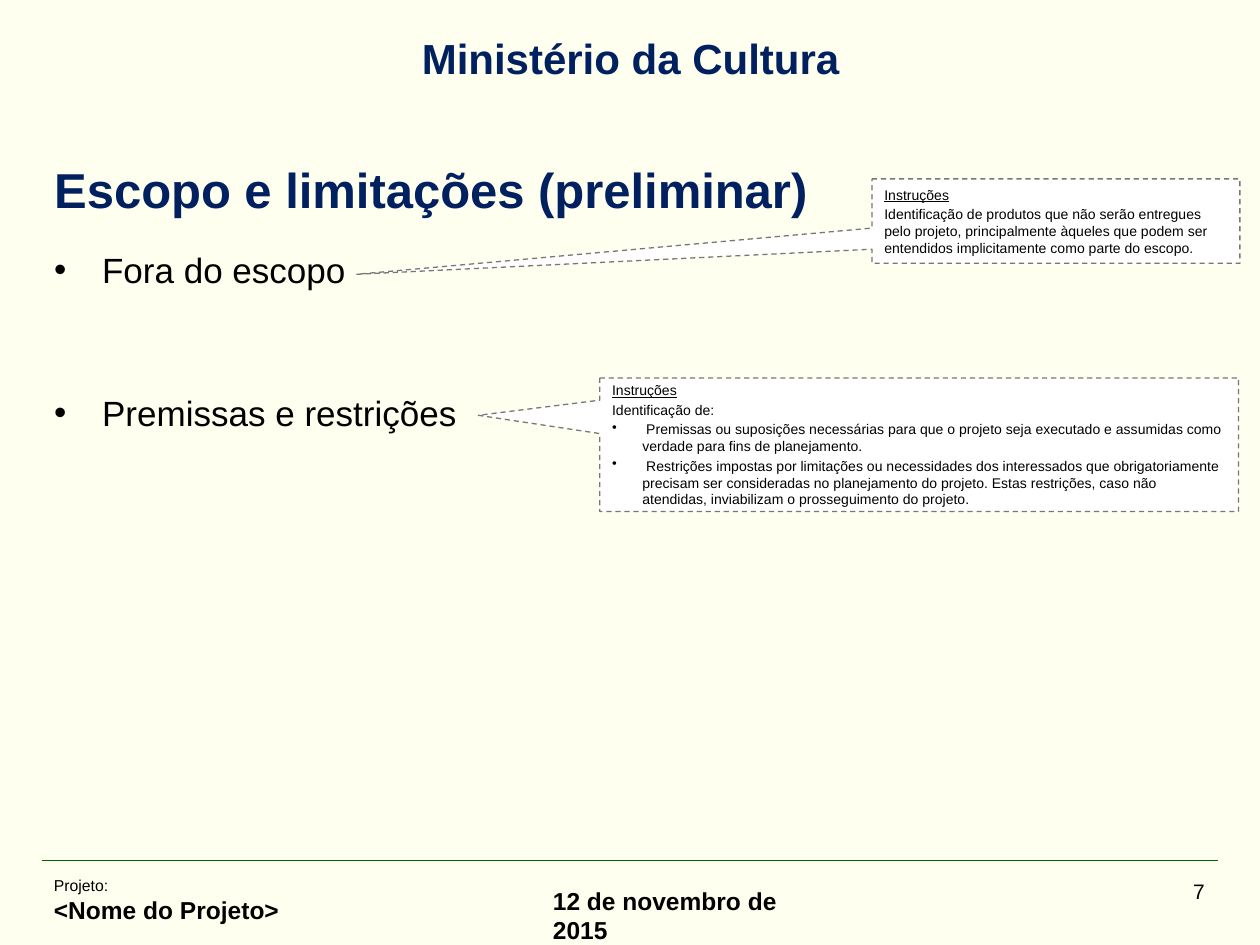
from lxml.etree import SubElement
from pptx import Presentation
from pptx.dml.color import RGBColor
from pptx.enum.dml import MSO_LINE
from pptx.enum.shapes import MSO_CONNECTOR, MSO_SHAPE
from pptx.enum.text import MSO_ANCHOR as ANCHOR, MSO_AUTO_SIZE, PP_ALIGN as ALIGN
from pptx.oxml.ns import qn
from pptx.util import Inches, Pt

CREAM = RGBColor(0xFF, 0xFF, 0xEF)
NAVY = RGBColor(0x00, 0x20, 0x60)
GREEN = RGBColor(0x00, 0x66, 0x00)
GRAY = RGBColor(0x77, 0x77, 0x77)
BLACK = RGBColor(0, 0, 0)
WHITE = RGBColor(0xFF, 0xFF, 0xFF)


class SlideBuilder:
    font = "Arial"

    def __init__(self, slide):
        self.slide = slide
        fill = slide.background.fill
        fill.solid()
        fill.fore_color.rgb = CREAM

    def frame(self, sp, anchor=ANCHOR.TOP):
        tf = sp.text_frame
        tf.word_wrap = True
        tf.auto_size = MSO_AUTO_SIZE.NONE
        tf.vertical_anchor = anchor
        return tf

    def paragraph(self, tf, text, size, color=BLACK, bold=False, underline=False,
                  align=ALIGN.LEFT, before=0, hang=0):
        p = tf.paragraphs[0]
        if p.runs:
            p = tf.add_paragraph()
        p.alignment = align
        p.space_before = Pt(before)
        r = p.add_run()
        r.text = text
        r.font.name, r.font.size = self.font, Pt(size)
        r.font.bold, r.font.underline = bold, underline
        r.font.color.rgb = color
        if hang:
            pPr = p._p.get_or_add_pPr()
            pPr.set("marL", str(Inches(hang)))
            pPr.set("indent", str(-Inches(hang)))
            SubElement(pPr, qn("a:buChar")).set("char", "•")

    def placeholder(self, sp, box, anchor=ANCHOR.TOP):
        sp.left, sp.top, sp.width, sp.height = map(Inches, box)
        return self.frame(sp, anchor)

    def textbox(self, box):
        return self.frame(self.slide.shapes.add_textbox(*map(Inches, box)))

    def rule(self, x1, x2, y):
        line = self.slide.shapes.add_connector(
            MSO_CONNECTOR.STRAIGHT, Inches(x1), Inches(y), Inches(x2), Inches(y))
        line.line.color.rgb = GREEN
        line.line.width = Pt(0.75)
        SubElement(line._element.spPr, qn("a:effectLst"))

    def callout(self, box, tip, texts, bullets=()):
        sp = self.slide.shapes.add_shape(MSO_SHAPE.RECTANGULAR_CALLOUT, *map(Inches, box))
        sp.adjustments[0], sp.adjustments[1] = tip
        sp.shadow.inherit = False
        sp.fill.solid()
        sp.fill.fore_color.rgb = WHITE
        sp.line.color.rgb = GRAY
        sp.line.width = Pt(0.75)
        sp.line.dash_style = MSO_LINE.DASH
        tf = self.frame(sp, ANCHOR.MIDDLE)
        self.paragraph(tf, "Instruções", 8, underline=True, before=1.6)
        for text in texts:
            self.paragraph(tf, text, 8, before=1.6)
        for text in bullets:
            self.paragraph(tf, text, 8, before=1.6, hang=0.24)


def main():
    prs = Presentation()
    prs.slide_width, prs.slide_height = Inches(10), Inches(7.5)
    s = prs.slides.add_slide(prs.slide_layouts[1])
    b = SlideBuilder(s)

    # Header and footer
    b.rule(0.33, 9.67, 6.83)
    b.paragraph(b.textbox((4.29, 6.98, 2.2, 0.31)), "12 de novembro de 2015", 14, bold=True)
    b.paragraph(b.textbox((0.47, 0.21, 9.07, 0.5)), "Ministério da Cultura", 24,
                NAVY, bold=True, align=ALIGN.CENTER)
    b.paragraph(b.textbox((7.58, 6.92, 2.08, 0.5)), "7", 12, align=ALIGN.RIGHT)
    tf = b.textbox((0.33, 6.9, 3, 0.5))
    b.paragraph(tf, "Projeto:", 9)
    b.paragraph(tf, "<Nome do Projeto>", 14, bold=True)

    # Title and list
    tf = b.placeholder(s.shapes.title, (0.33, 1.25, 9.33, 0.5), ANCHOR.MIDDLE)
    b.paragraph(tf, "Escopo e limitações (preliminar)", 28, NAVY, bold=True)
    tf = b.placeholder(s.placeholders[1], (0.33, 1.92, 9.33, 4.75))
    b.paragraph(tf, "Fora do escopo", 20, hang=0.38)
    b.paragraph(tf, "Premissas e restrições", 20, before=58, hang=0.38)

    # Instruction callouts
    b.callout((6.92, 1.42, 2.92, 0.67), (-1.9, 0.63), [
        "Identificação de produtos que não serão entregues pelo projeto, principalmente "
        "àqueles que podem ser entendidos implicitamente como parte do escopo."])
    b.callout((4.76, 3, 5.07, 1.06), (-0.69, -0.22), ["Identificação de:"], [
        " Premissas ou suposições necessárias para que o projeto seja executado e "
        "assumidas como verdade para fins de planejamento.",
        " Restrições impostas por limitações ou necessidades dos interessados que "
        "obrigatoriamente precisam ser consideradas no planejamento do projeto. Estas "
        "restrições, caso não atendidas, inviabilizam o prosseguimento do projeto."])

    prs.save("out.pptx")


if __name__ == "__main__":
    main()
